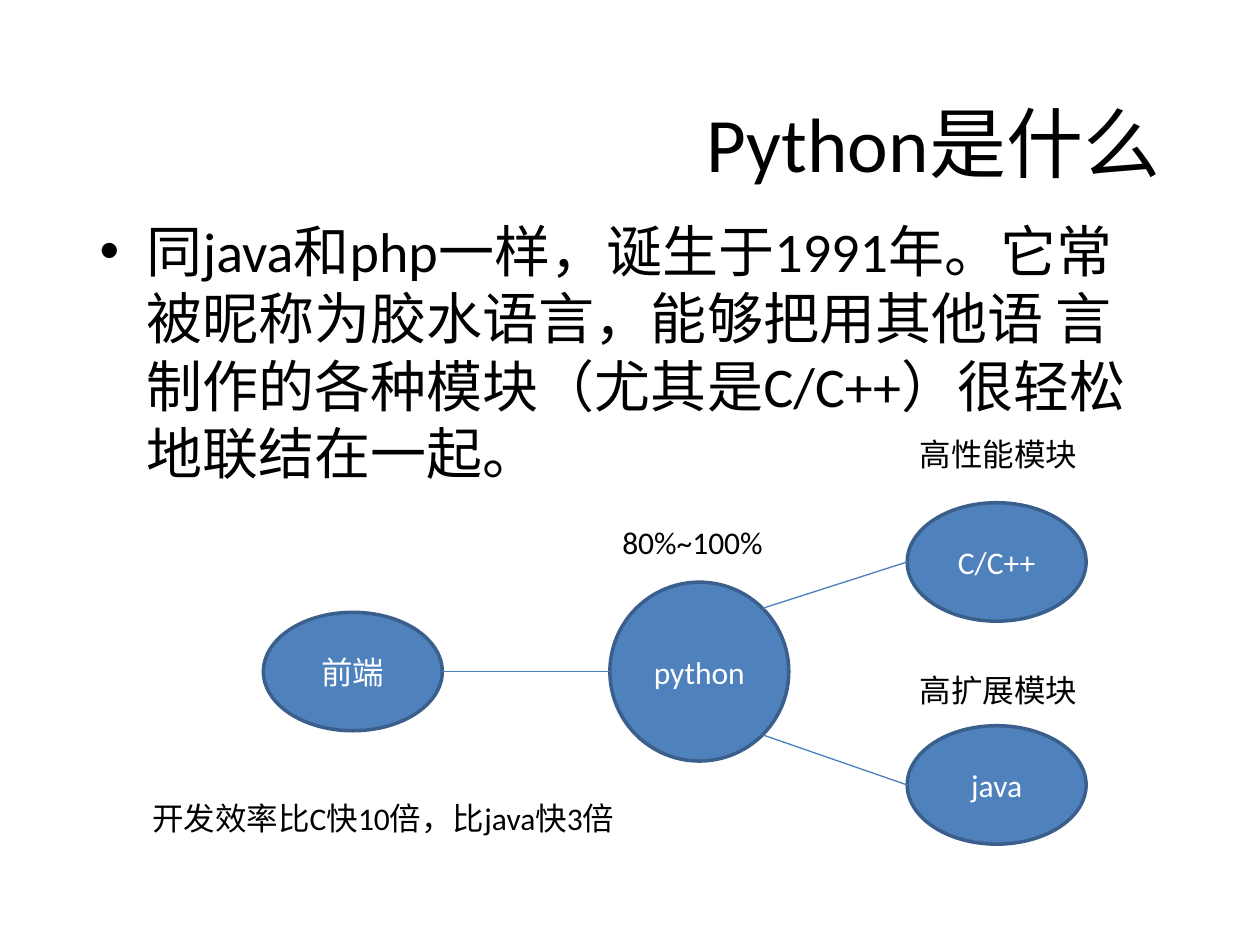
import math

from lxml import etree
from pptx import Presentation
from pptx.dml.color import RGBColor
from pptx.enum import shapes, text
from pptx.oxml.ns import qn
from pptx.util import Inches, Pt

BLACK = RGBColor(0x00, 0x00, 0x00)
WHITE = RGBColor(0xFF, 0xFF, 0xFF)
BLUE = RGBColor(0x4F, 0x81, 0xBD)
EDGE = RGBColor(0x3A, 0x5F, 0x8C)
LINK = RGBColor(0x4B, 0x7E, 0xBC)
LEFT, CENTER, RIGHT = text.PP_ALIGN.LEFT, text.PP_ALIGN.CENTER, text.PP_ALIGN.RIGHT

NODE_W, NODE_H = 1.42, 0.94
NOTE_W, NOTE_H = 1.89, 0.4


def write(shape, words, size=18, color=BLACK, align=LEFT):
    frame = shape.text_frame
    frame.word_wrap = True
    para = frame.paragraphs[0]
    para.alignment = align
    run = para.add_run()
    run.text = words
    run.font.name = "Calibri"
    run.font.size = Pt(size)
    run.font.color.rgb = color


def place(shape, x, y, w, h):
    shape.left, shape.top = Inches(x), Inches(y)
    shape.width, shape.height = Inches(w), Inches(h)


def note(slide, words, x, y, w=NOTE_W):
    write(slide.shapes.add_textbox(Inches(x), Inches(y), Inches(w), Inches(NOTE_H)), words)


def node(slide, words, x, y, w=NODE_W, h=NODE_H):
    oval = slide.shapes.add_shape(
        shapes.MSO_SHAPE.OVAL, Inches(x), Inches(y), Inches(w), Inches(h))
    oval.shadow.inherit = False
    oval.fill.solid()
    oval.fill.fore_color.rgb = BLUE
    oval.line.color.rgb = EDGE
    oval.line.width = Pt(2)
    oval.text_frame.vertical_anchor = text.MSO_ANCHOR.MIDDLE
    write(oval, words, color=WHITE, align=CENTER)


def link(slide, x1, y1, x2, y2):
    line = slide.shapes.add_connector(
        shapes.MSO_CONNECTOR.STRAIGHT, Inches(x1), Inches(y1), Inches(x2), Inches(y2))
    line.line.color.rgb = LINK
    line.line.width = Pt(0.75)
    etree.SubElement(line.element.spPr, qn("a:effectLst"))


def intro(slide, x, y, w):
    """Title with the bulleted text below it."""
    title, body = slide.shapes.title, slide.placeholders[1]
    place(title, x, y, w, 1.45)
    write(title, "Python是什么", size=44, align=RIGHT)
    place(body, x, y + 1.27, w, 4.76)
    write(body, "同java和php一样，诞生于1991年。它常被昵称为胶水语言，能够把用其他语 "
                "言制作的各种模块（尤其是C/C++）很轻松地联结在一起。", size=32)


def diagram(slide, x, y):
    """Front end, hub and modules, with links and notes."""
    hub_x, hub_y, mod_x = x + 2.75, y + 1.22, x + 5.11
    rad = NODE_W / 2
    mid_x, mid_y = hub_x + rad, hub_y + rad
    reach = rad * math.sqrt(0.5)

    node(slide, "python", hub_x, hub_y, h=NODE_W)
    note(slide, "80%~100%", hub_x, y + 0.7)
    node(slide, "前端", x, mid_y - NODE_H / 2)
    link(slide, hub_x, mid_y, x + NODE_W, mid_y)

    modules = [("C/C++", 0.59, "高性能模块", 0, -1), ("java", 2.36, "高扩展模块", 1.88, 1)]
    for name, top, label, label_y, side in modules:
        node(slide, name, mod_x, y + top)
        note(slide, label, mod_x, y + label_y)
        link(slide, mid_x + reach, mid_y + side * reach, mod_x, y + top + NODE_H / 2)


def main():
    deck = Presentation()
    deck.slide_width, deck.slide_height = Inches(10), Inches(7.5)
    slide = deck.slides.add_slide(deck.slide_layouts[1])
    intro(slide, 0.69, 0.4, 8.62)
    diagram(slide, 2.09, 3.4)
    note(slide, "开发效率比C快10倍，比java快3倍", 1.11, 6.29, w=5.4)
    deck.save("out.pptx")


if __name__ == "__main__":
    main()
